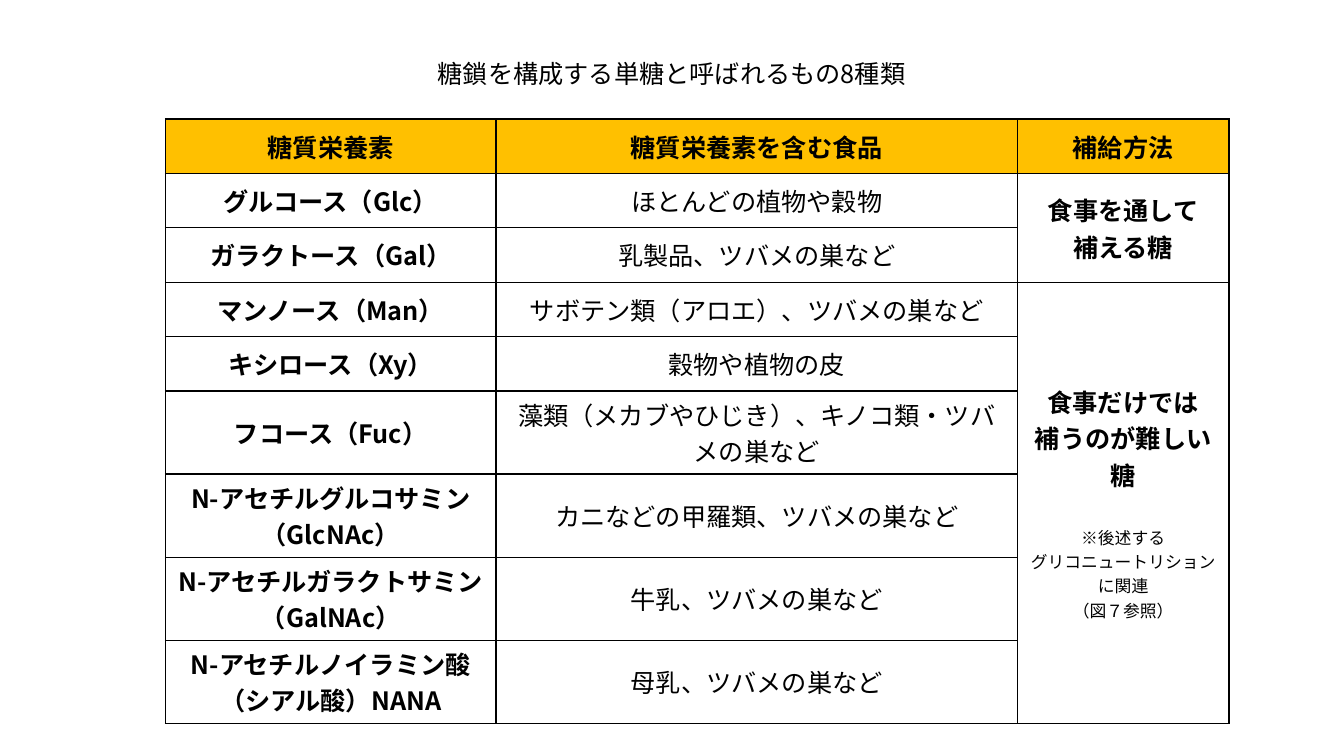
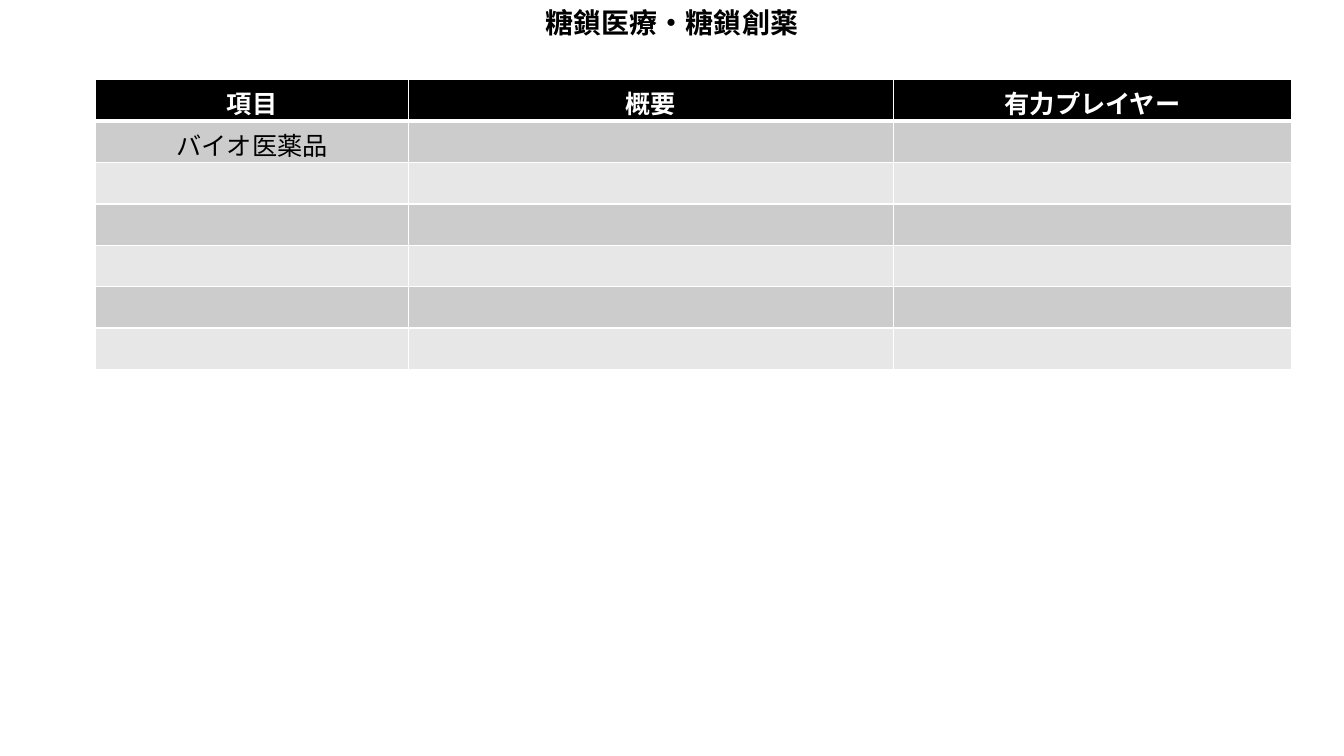
from lxml import etree
from pptx import Presentation
from pptx.dml.color import RGBColor
from pptx.enum.text import MSO_ANCHOR, MSO_AUTO_SIZE, PP_ALIGN
from pptx.oxml.ns import qn
from pptx.util import Pt

MID, TOP = MSO_ANCHOR.MIDDLE, MSO_ANCHOR.TOP
CENTER = PP_ALIGN.CENTER
FIXED = MSO_AUTO_SIZE.NONE
FONT = "Noto Sans CJK JP"
PX = 9144
HUES = {"ink": "000000", "paper": "FFFFFF", "gold": "FFC000",
        "dark": "CCCCCC", "pale": "E7E7E7"}

SUGARS = {
    "title": ("糖鎖を構成する単糖と呼ばれるもの8種類", 18, False),
    "place": (407, 53, 518, 41),
    "at": (164, 118),
    "cols": (328, 517, 210),
    "heights": (54,) * 5 + (82,) * 4,
    "head": ("糖質栄養素", "糖質栄養素を含む食品", "補給方法"),
    "rows": [
        ("グルコース（Glc）", "ほとんどの植物や穀物", "食事を通して\n補える糖"),
        ("ガラクトース（Gal）", "乳製品、ツバメの巣など"),
        ("マンノース（Man）", "サボテン類（アロエ）、ツバメの巣など",
         "食事だけでは\n補うのが難しい糖"),
        ("キシロース（Xy）", "穀物や植物の皮"),
        ("フコース（Fuc）", "藻類（メカブやひじき）、キノコ類・ツバメの巣など"),
        ("N-アセチルグルコサミン（GlcNAc）", "カニなどの甲羅類、ツバメの巣など"),
        ("N-アセチルガラクトサミン（GalNAc）", "牛乳、ツバメの巣など"),
        ("N-アセチルノイラミン酸\n（シアル酸）NANA", "母乳、ツバメの巣など"),
    ],
    "bold": (0, 2),
    "spans": [(1, 2), (3, 8)],
    "note": (3, 2, "※後述する\nグリコニュートリションに関連\n（図７参照）"),
    "fills": ("gold", None, None),
    "hues": ("ink", "ink"),
    "edge": ("ink", 1),
    "anchor": MID,
    "foot": 5,
}
DRUGS = {
    "title": ("糖鎖医療・糖鎖創薬", 20, True),
    "place": (286, 0, 761, 44),
    "at": (95, 79),
    "cols": (310, 481, 395),
    "heights": (41,) * 7,
    "head": ("項目", "概要", "有力プレイヤー"),
    "rows": [("バイオ医薬品",)] + [()] * 5,
    "bold": (),
    "spans": [],
    "note": None,
    "fills": ("ink", "dark", "pale"),
    "hues": ("paper", "ink"),
    "edge": ("paper", 3),
    "anchor": TOP,
    "foot": 0,
}


def color(name):
    return RGBColor.from_string(HUES[name])


def write(frame, text, size, bold, hue="ink", more=False, gap=0):
    for i, line in enumerate(text.split("\n")):
        para = frame.add_paragraph() if more or i else frame.paragraphs[0]
        para.alignment = CENTER
        if gap and not i:
            para.space_before = Pt(gap)
        run = para.add_run()
        run.text = line
        font = run.font
        font.name, font.size, font.bold = FONT, Pt(size), bold
        font.color.rgb = color(hue)
        asian = etree.SubElement(run._r.get_or_add_rPr(), qn("a:ea"))
        asian.set("typeface", FONT)


def border(cell, hue, widths):
    props = cell._tc.get_or_add_tcPr()
    for side, width in zip("LRTB", widths):
        line = etree.SubElement(props, qn("a:ln" + side), w=str(Pt(width)))
        fill = etree.SubElement(line, qn("a:solidFill"))
        etree.SubElement(fill, qn("a:srgbClr"), val=HUES[hue])


def add_title(slide, data):
    title = slide.shapes.title
    title.left, title.top, title.width, title.height = (n * PX for n in data["place"])
    frame = title.text_frame
    frame.word_wrap, frame.auto_size = True, FIXED
    frame.vertical_anchor = TOP
    write(frame, *data["title"])


def add_grid(slide, data):
    cols, tall = data["cols"], data["heights"]
    box = (*data["at"], sum(cols), sum(tall))
    grid = slide.shapes.add_table(len(tall), len(cols), *(n * PX for n in box)).table
    grid.first_row = grid.horz_banding = False
    for col, width in zip(grid.columns, cols):
        col.width = width * PX
    for row, height in zip(grid.rows, tall):
        row.height = height * PX

    hue, thick = data["edge"]
    first, odd, even = data["fills"]
    for r, texts in enumerate([data["head"]] + data["rows"]):
        shade = odd if r % 2 else even
        if r == 0:
            shade = first
        widths = (1, 1, thick if r == 1 else 1, thick if r == 0 else 1)
        for c in range(len(cols)):
            cell = grid.cell(r, c)
            cell.vertical_anchor = data["anchor"]
            cell.margin_bottom = data["foot"] * PX
            border(cell, hue, widths)
            if shade:
                cell.fill.solid()
                cell.fill.fore_color.rgb = color(shade)
            else:
                cell.fill.background()
            if c < len(texts):
                bold = r == 0 or c in data["bold"]
                write(cell.text_frame, texts[c], 18, bold, data["hues"][r > 0])

    last = len(cols) - 1
    for start, end in data["spans"]:
        grid.cell(start, last).merge(grid.cell(end, last))
    if data["note"]:
        r, c, text = data["note"]
        write(grid.cell(r, c).text_frame, text, 12, False, more=True, gap=23)


def main():
    deck = Presentation()
    deck.slide_width, deck.slide_height = 1333 * PX, 750 * PX
    for data in (SUGARS, DRUGS):
        slide = deck.slides.add_slide(deck.slide_layouts[5])
        add_title(slide, data)
        add_grid(slide, data)
    deck.save("out.pptx")


if __name__ == "__main__":
    main()
